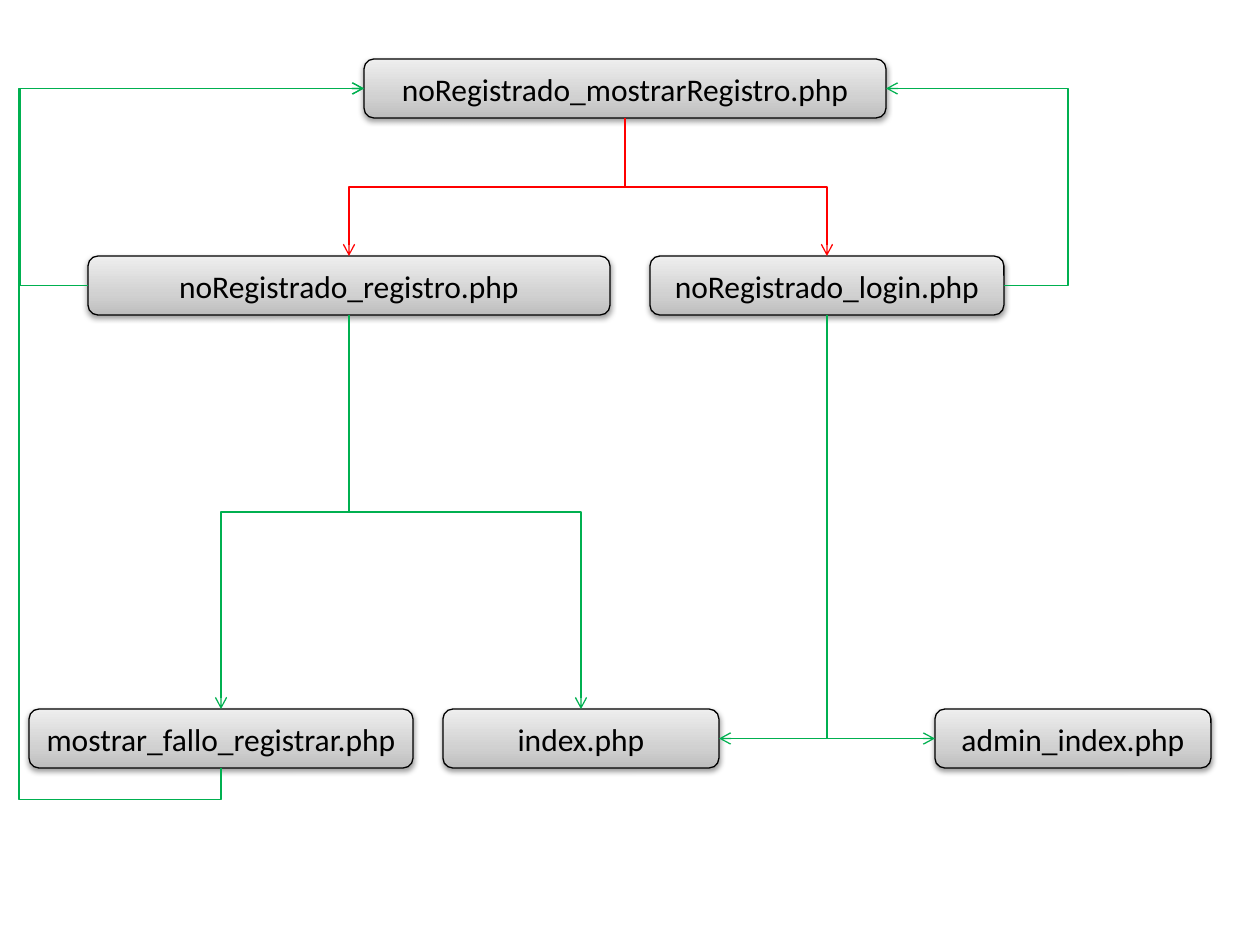
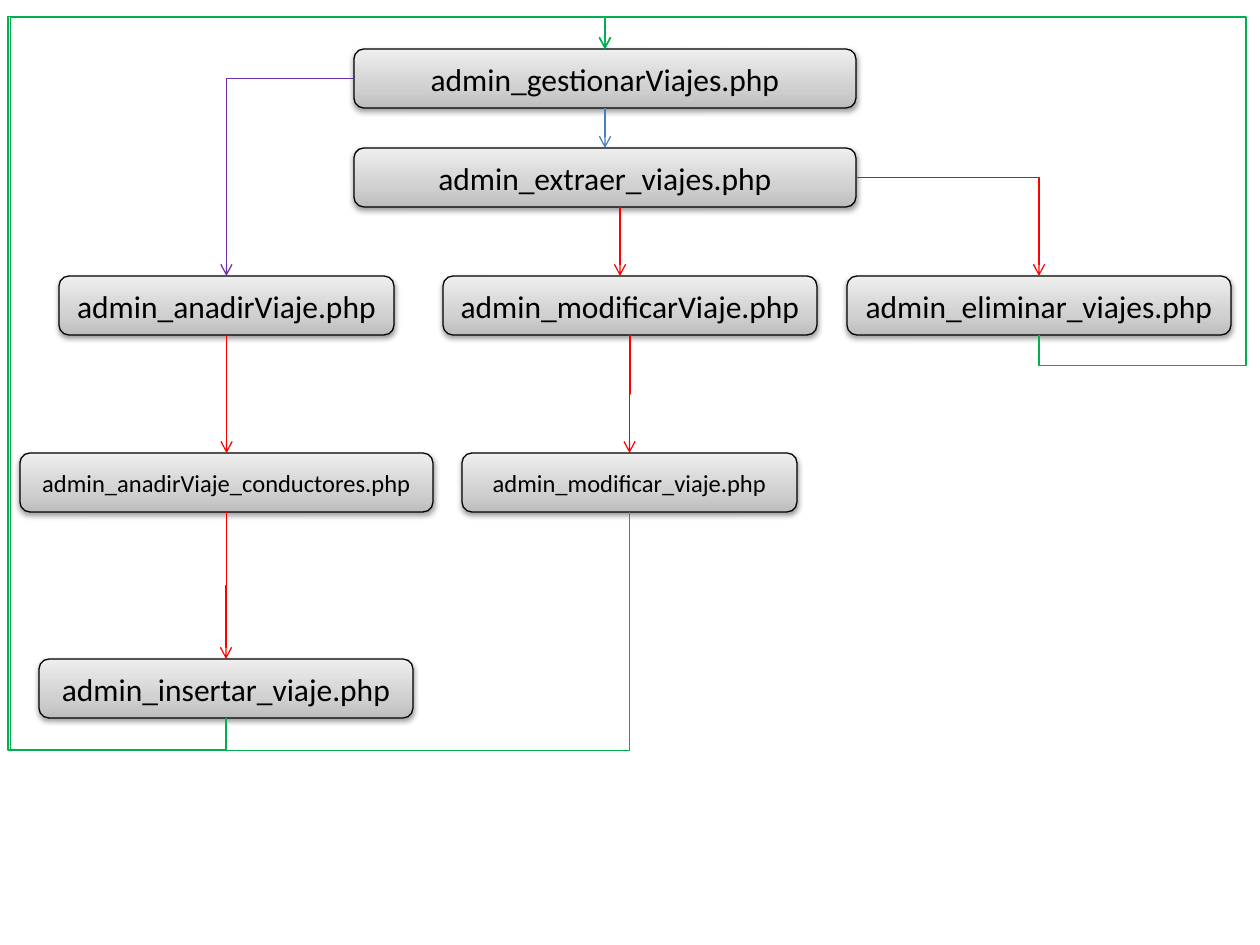
from pptx import Presentation
from pptx import util as u
from pptx.dml.color import RGBColor
from pptx.enum import shapes, text
from pptx.oxml import parse_xml
from pptx.oxml.ns import nsdecls, qn
from lxml import etree

COLOURS = {
    "outline": "000000", "label": "000000",
    "shade": "BDBDBD", "middle": "D1D1D1", "light": "EEEEEE",
    "call": "FF0000", "return": "00B050", "add": "7030A0", "load": "4B7EBC",
}
FONT = "Calibri"
BOX_HEIGHT = 59
SIDES = {"top": 0, "left": 1, "bottom": 2, "right": 3}
VERTICAL = ("top", "bottom")

REGISTRATION = {
    "boxes": [
        ("noRegistrado_mostrarRegistro.php", 364, 59, 522, 18),
        ("noRegistrado_registro.php", 88, 256, 522, 18),
        ("noRegistrado_login.php", 650, 256, 354, 18),
        ("index.php", 443, 709, 276, 18),
        ("mostrar_fallo_registrar.php", 29, 709, 384, 18),
        ("admin_index.php", 935, 709, 276, 18),
    ],
    "links": [
        ("noRegistrado_mostrarRegistro.php", "bottom", "noRegistrado_registro.php", "top", "call", ()),
        ("noRegistrado_mostrarRegistro.php", "bottom", "noRegistrado_login.php", "top", "call", ()),
        ("noRegistrado_login.php", "bottom", "admin_index.php", "left", "return", ()),
        ("noRegistrado_login.php", "bottom", "index.php", "right", "return", ()),
        ("noRegistrado_registro.php", "bottom", "index.php", "top", "return", ()),
        ("noRegistrado_registro.php", "left", "noRegistrado_mostrarRegistro.php", "left", "return", (20,)),
        ("noRegistrado_login.php", "right", "noRegistrado_mostrarRegistro.php", "right", "return", (1068,)),
        ("noRegistrado_registro.php", "bottom", "mostrar_fallo_registrar.php", "top", "return", ()),
        ("mostrar_fallo_registrar.php", "bottom", "noRegistrado_mostrarRegistro.php", "left", "return", (799, 19)),
    ],
    "drops": [],
}
TRIPS = {
    "boxes": [
        ("admin_gestionarViajes.php", 354, 49, 502, 18),
        ("admin_extraer_viajes.php", 354, 148, 502, 18),
        ("admin_anadirViaje.php", 59, 276, 335, 18),
        ("admin_anadirViaje_conductores.php", 20, 453, 413, 14),
        ("admin_insertar_viaje.php", 39, 659, 374, 18),
        ("admin_modificarViaje.php", 443, 276, 374, 18),
        ("admin_eliminar_viajes.php", 847, 276, 384, 18),
        ("admin_modificar_viaje.php", 462, 453, 335, 14),
    ],
    "links": [
        ("admin_anadirViaje.php", "bottom", "admin_anadirViaje_conductores.php", "top", "call", ()),
        ("admin_gestionarViajes.php", "left", "admin_anadirViaje.php", "top", "add", ()),
        ("admin_gestionarViajes.php", "bottom", "admin_extraer_viajes.php", "top", "load", ()),
        ("admin_anadirViaje_conductores.php", "bottom", "admin_insertar_viaje.php", "top", "call", ()),
        ("admin_insertar_viaje.php", "bottom", "admin_gestionarViajes.php", "top", "return", (750, 8, 17)),
        ("admin_extraer_viajes.php", "right", "admin_eliminar_viajes.php", "top", "call", ()),
        ("admin_modificarViaje.php", "bottom", "admin_modificar_viaje.php", "top", "call", ()),
        ("admin_modificar_viaje.php", "bottom", "admin_gestionarViajes.php", "top", "return", (751, 11, 17)),
        ("admin_eliminar_viajes.php", "bottom", "admin_gestionarViajes.php", "top", "return", (366, 1246, 17)),
    ],
    "drops": [(620, "admin_extraer_viajes.php", "admin_modificarViaje.php", "call")],
}


def px(length):
    return u.Emu(round(length * u.Inches(1) / 126))


def rgb(role):
    return RGBColor.from_string(COLOURS[role])


def write(frame, words, size, colour="label", align=text.PP_ALIGN.CENTER):
    frame.word_wrap = True
    frame.vertical_anchor = text.MSO_ANCHOR.MIDDLE
    line = frame.paragraphs[0]
    line.alignment = align
    run = line.add_run()
    run.text = words
    run.font.name = FONT
    run.font.size = u.Pt(size)
    run.font.color.rgb = rgb(colour)


def add_page_box(slide, name, left, top, width, size):
    box = slide.shapes.add_shape(shapes.MSO_SHAPE.ROUNDED_RECTANGLE,
                                 px(left), px(top), px(width), px(BOX_HEIGHT))
    stops = "".join(f'<a:gs pos="{pos}"><a:srgbClr val="{COLOURS[role]}"/></a:gs>'
                    for pos, role in ((0, "shade"), (35000, "middle"), (100000, "light")))
    properties = box._element.spPr
    properties.append(parse_xml(
        f'<a:gradFill {nsdecls("a")} rotWithShape="1"><a:gsLst>{stops}</a:gsLst>'
        '<a:lin ang="16200000" scaled="1"/></a:gradFill>'))
    box.line.color.rgb = rgb("outline")
    box.line.width = u.Pt(0.75)
    box.shadow.inherit = False
    properties.find(qn("a:effectLst")).append(parse_xml(
        f'<a:outerShdw {nsdecls("a")} blurRad="40000" dist="20000" dir="5400000" rotWithShape="0">'
        '<a:srgbClr val="000000"><a:alpha val="38000"/></a:srgbClr></a:outerShdw>'))
    write(box.text_frame, name, size)
    return box


def style_arrow(arrow, colour):
    arrow.line.color.rgb = rgb(colour)
    arrow.line.width = u.Pt(0.75)
    etree.SubElement(arrow.line._get_or_add_ln(), qn("a:tailEnd"), type="arrow")
    etree.SubElement(arrow._element.spPr, qn("a:effectLst"))


def bend(arrow, vertical, parallel, stops):
    begin = arrow.begin_x, arrow.begin_y
    end = arrow.end_x, arrow.end_y
    dx, dy = end[0] - begin[0], end[1] - begin[1]
    width, height = (abs(dy), abs(dx)) if vertical else (abs(dx), abs(dy))
    arrow.left = u.Emu((begin[0] + end[0] - width) // 2)
    arrow.top = u.Emu((begin[1] + end[1] - height) // 2)
    arrow.width, arrow.height = u.Emu(width), u.Emu(height)
    flips = (dy < 0, dx > 0) if vertical else (dx < 0, dy < 0)
    frame = arrow._element.spPr.find(qn("a:xfrm"))
    frame.set("rot", "5400000" if vertical else "0")
    frame.set("flipH", str(int(flips[0])))
    frame.set("flipV", str(int(flips[1])))

    ratios = [0.5] if parallel and not stops else []
    for turn, stop in enumerate(stops):
        axis = (turn + vertical) % 2
        ratios.append((px(stop) - begin[axis]) / (end[axis] - begin[axis]))
    geometry = arrow._element.spPr.find(qn("a:prstGeom"))
    geometry.set("prst", f"bentConnector{len(ratios) + 2}")
    guides = geometry.find(qn("a:avLst"))
    for number, ratio in enumerate(ratios, 1):
        etree.SubElement(guides, qn("a:gd"), name=f"adj{number}",
                         fmla=f"val {round(ratio * 100000)}")


def add_link(slide, boxes, start, start_side, finish, finish_side, colour, stops):
    arrow = slide.shapes.add_connector(shapes.MSO_CONNECTOR.ELBOW, 0, 0, 0, 0)
    arrow.begin_connect(boxes[start], SIDES[start_side])
    arrow.end_connect(boxes[finish], SIDES[finish_side])
    vertical = start_side in VERTICAL
    bend(arrow, vertical, vertical == (finish_side in VERTICAL), stops)
    style_arrow(arrow, colour)


def add_drop(slide, boxes, x, start, finish, colour):
    upper = boxes[start]
    arrow = slide.shapes.add_connector(shapes.MSO_CONNECTOR.STRAIGHT, px(x),
                                       upper.top + upper.height, px(x), boxes[finish].top)
    style_arrow(arrow, colour)


def main():
    deck = Presentation()
    deck.slide_width, deck.slide_height = px(1260), px(945)
    for flow in (REGISTRATION, TRIPS):
        slide = deck.slides.add_slide(deck.slide_layouts[6])
        boxes = {box[0]: add_page_box(slide, *box) for box in flow["boxes"]}
        for link in flow["links"]:
            add_link(slide, boxes, *link)
        for drop in flow["drops"]:
            add_drop(slide, boxes, *drop)
    deck.save("out.pptx")


if __name__ == "__main__":
    main()
